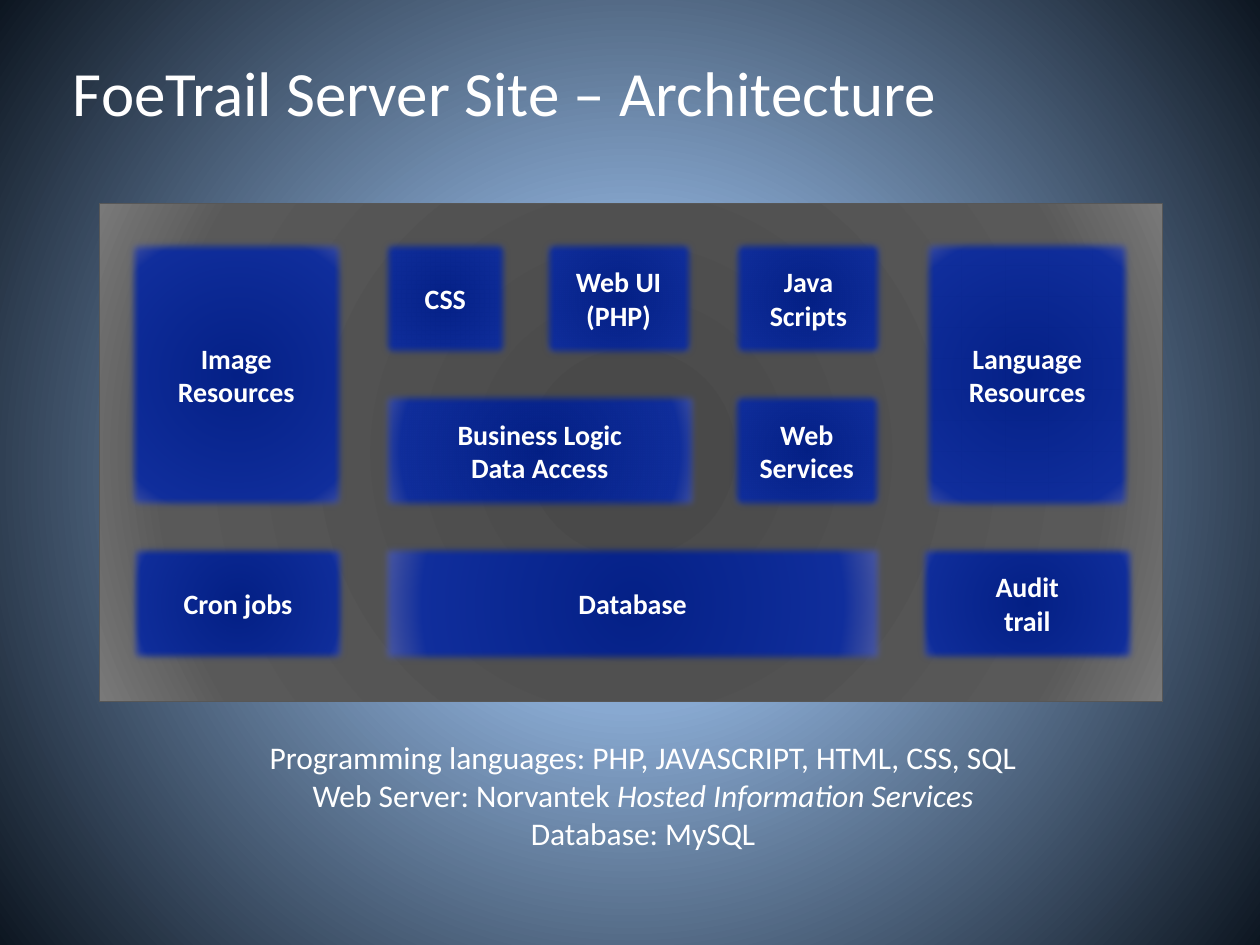
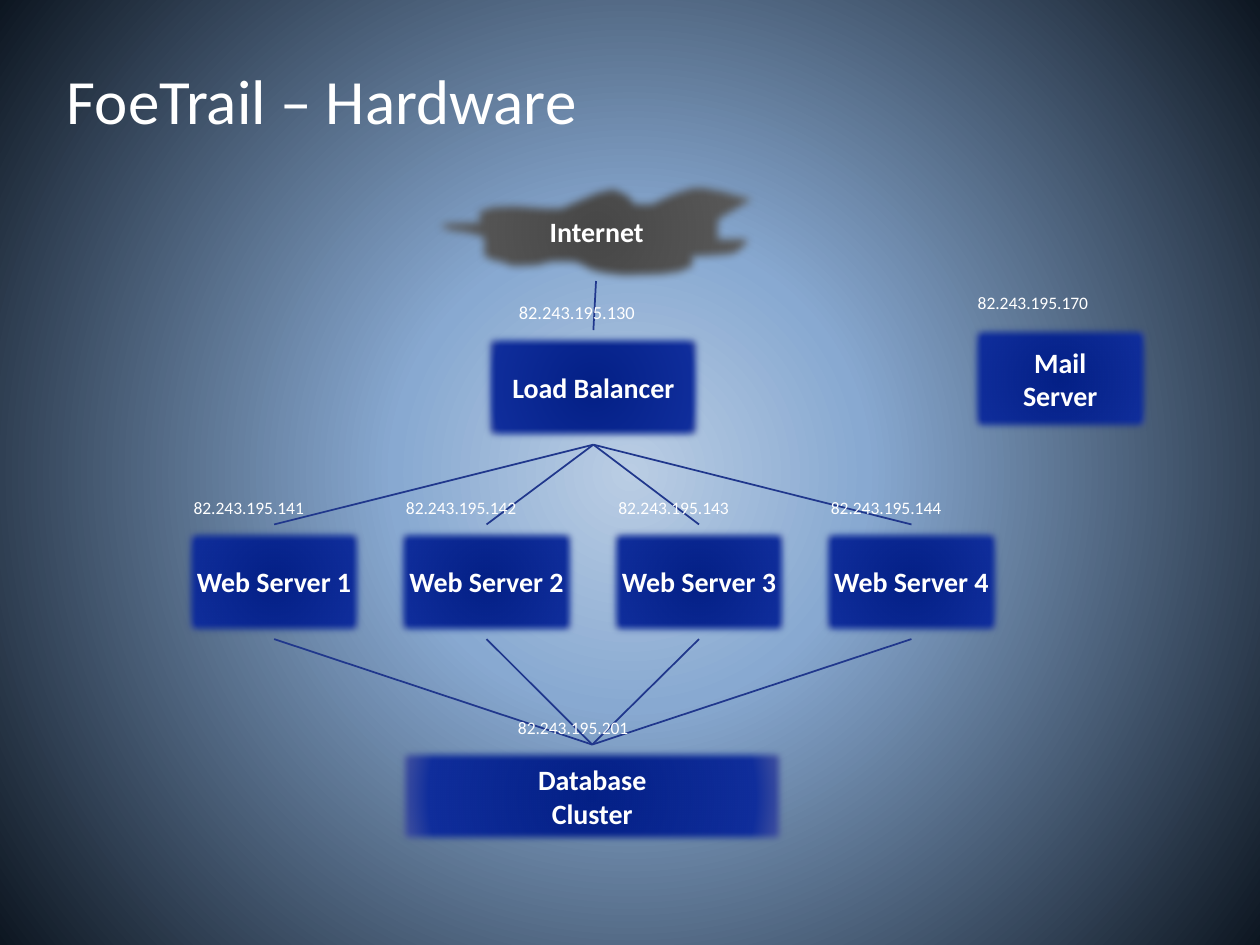
from dataclasses import dataclass

from lxml import etree
from pptx import Presentation
from pptx.dml.color import RGBColor as RGB
from pptx.enum.shapes import MSO_CONNECTOR as CONN, MSO_SHAPE as SHAPE
from pptx.enum.text import MSO_ANCHOR as ANCHOR, MSO_AUTO_SIZE as AUTO, PP_ALIGN as ALIGN
from pptx.oxml import parse_xml
from pptx.oxml.ns import nsdecls, qn
from pptx.util import Pt


@dataclass(frozen=True)
class Theme:
    font: str = "Calibri"
    title_size: float = 36
    note_size: float = 18
    box_size: float = 16
    address_size: float = 10
    text: str = "FFFFFF"
    wire: str = "20378C"
    panel_line: str = "575757"
    soft_edge: float = 5
    # Radial gradients: (position in percent, colour), from the centre outwards
    background: tuple = ((0, "BACDE4"), (30, "88A9D1"), (100, "0D1621"))
    blue: tuple = ((0, "042086"), (80, "102E9C"), (100, "5C64A1"))
    grey: tuple = ((0, "474747"), (80, "595959"), (100, "797979"))


def radial_fill(fill, parent, stops):
    """Give the parent element of a fill a circular gradient."""
    fill.solid()
    gs = "".join(f'<a:gs pos="{pos * 1000}"><a:srgbClr val="{colour}"/></a:gs>'
                 for pos, colour in stops)
    grad = parse_xml(
        f'<a:gradFill {nsdecls("a")} rotWithShape="1"><a:gsLst>{gs}</a:gsLst>'
        '<a:path path="circle"><a:fillToRect l="50000" t="50000" r="50000" b="50000"/>'
        '</a:path></a:gradFill>')
    parent.replace(parent.find(qn("a:solidFill")), grad)


class Deck:
    def __init__(self, theme):
        self.theme = theme
        self.prs = Presentation()
        self.prs.slide_width, self.prs.slide_height = Pt(720), Pt(540)
        master = self.prs.slide_master
        fill = master.background.fill
        fill.solid()
        radial_fill(fill, master._element.find(".//" + qn("p:bgPr")), theme.background)
        self.slide = None

    def set_lines(self, tf, lines, size, bold=False, align=ALIGN.CENTER):
        """Fill a text frame; each line is a string or a list of (text, italic)."""
        for i, line in enumerate(lines):
            p = tf.paragraphs[0] if i == 0 else tf.add_paragraph()
            p.alignment = align
            p.font.name, p.font.size, p.font.bold = self.theme.font, Pt(size), bold
            p.font.color.rgb = RGB.from_string(self.theme.text)
            for text, italic in [(line, False)] if isinstance(line, str) else line:
                r = p.add_run()
                r.text = text
                if italic:
                    r.font.italic = True

    def margins(self, tf, side):
        tf.margin_left = tf.margin_right = Pt(side)
        tf.margin_top = tf.margin_bottom = 0

    def new_slide(self, title, x, y, w, h):
        self.slide = self.prs.slides.add_slide(self.prs.slide_layouts[5])
        sp = self.slide.shapes.title
        sp.left, sp.top, sp.width, sp.height = Pt(x), Pt(y), Pt(w), Pt(h)
        tf = sp.text_frame
        tf.auto_size, tf.vertical_anchor = AUTO.NONE, ANCHOR.MIDDLE
        self.set_lines(tf, [title], self.theme.title_size, align=ALIGN.LEFT)

    def rect(self, x, y, w, h):
        return self.slide.shapes.add_shape(SHAPE.RECTANGLE, Pt(x), Pt(y), Pt(w), Pt(h))

    def panel(self, x, y, w, h):
        sp = self.rect(x, y, w, h)
        radial_fill(sp.fill, sp._element.spPr, self.theme.grey)
        sp.line.color.rgb = RGB.from_string(self.theme.panel_line)
        sp.line.width = Pt(0.5)
        sp.shadow.inherit = False

    def soften(self, sp, stops, lines):
        """Style a shape as a soft-edged, labelled block."""
        spPr = sp._element.spPr
        radial_fill(sp.fill, spPr, stops)
        sp.line.fill.background()
        sp.shadow.inherit = False
        etree.SubElement(spPr.find(qn("a:effectLst")), qn("a:softEdge"),
                         rad=str(Pt(self.theme.soft_edge)))
        tf = sp.text_frame
        tf.word_wrap, tf.vertical_anchor = True, ANCHOR.MIDDLE
        self.margins(tf, 5)
        self.set_lines(tf, lines, self.theme.box_size, bold=True)

    def box(self, x, y, w, h, *lines):
        sp = self.rect(x, y, w, h)
        self.soften(sp, self.theme.blue, lines)
        return sp

    def cloud(self, x, y, outline, unit, *lines):
        builder = self.slide.shapes.build_freeform(*outline[0], scale=Pt(unit))
        builder.add_line_segments(outline[1:], close=True)
        self.soften(builder.convert_to_shape(Pt(x), Pt(y)), self.theme.grey, lines)

    def label(self, x, y, w, h, lines, size, align=ALIGN.LEFT, wrap=True):
        tf = self.slide.shapes.add_textbox(Pt(x), Pt(y), Pt(w), Pt(h)).text_frame
        tf.word_wrap = wrap
        self.margins(tf, 0)
        self.set_lines(tf, lines, size, align=align)

    def address(self, x, y, host, size=None):
        self.label(x, y, 86.5, 12.5, [f"82.243.195.{host}"], size or self.theme.address_size)

    def wire(self, lower, upper=None, start=(0, 0)):
        """Join the bottom of the upper shape, or a point, to the top of the lower."""
        x, y = Pt(start[0]), Pt(start[1])
        cx = self.slide.shapes.add_connector(CONN.STRAIGHT, x, y, x, y)
        if upper is not None:
            cx.begin_connect(upper, 2)
        cx.end_connect(lower, 0)
        cx.line.color.rgb = RGB.from_string(self.theme.wire)
        cx.line.width = Pt(1)
        etree.SubElement(cx._element.spPr, qn("a:effectLst"))


# Cloud outline in hundredths of an inch
CLOUD = [
    (103, 17), (74, 15), (49, 16), (39, 19), (32, 20), (30, 22), (34, 27), (40, 28),
    (11, 29), (4, 32), (1, 35), (4, 42), (10, 46), (18, 48), (27, 49), (39, 52),
    (42, 54), (39, 59), (40, 66), (42, 68), (49, 71), (58, 73), (61, 75), (70, 76),
    (97, 75), (109, 72), (116, 73), (118, 74), (128, 79), (137, 81), (154, 83),
    (195, 82), (210, 80), (217, 77), (220, 76), (221, 73), (220, 68), (224, 68),
    (242, 67), (252, 66), (256, 64), (262, 59), (265, 55), (264, 43), (262, 41),
    (240, 41), (242, 38), (249, 34), (256, 30), (261, 27), (265, 25), (270, 21),
    (274, 20), (272, 12), (267, 10), (261, 8), (255, 7), (245, 4), (234, 2), (230, 1),
    (207, 1), (194, 5), (189, 7), (178, 12), (175, 14), (172, 11), (169, 7), (160, 3),
    (154, 0), (148, 1), (131, 5), (124, 8), (112, 13),
]


def architecture(deck):
    deck.new_slide("FoeTrail Server Site – Architecture", 34.5, 21, 652, 62)
    deck.panel(57, 116.5, 607.5, 284.5)

    # Components: left, width, first row, rows spanned, lines
    top, step, height = 134.5, 87.2, 72
    components = [
        (307.5, 92, 0, 1, "Web UI", "(PHP)"),
        (215.5, 186, 1, 1, "Business Logic", "Data Access"),
        (216, 291, 2, 1, "Database"),
        (525, 124, 0, 2, "Language", "Resources"),
        (70.5, 129, 0, 2, "Image", "Resources"),
        (416, 92, 0, 1, "Java", "Scripts"),
        (215.5, 78, 0, 1, "CSS"),
        (71.5, 129, 2, 1, "Cron jobs"),
        (522.5, 129, 2, 1, "Audit", "trail"),
        (415, 92, 1, 1, "Web", "Services"),
    ]
    for x, w, row, rows, *lines in components:
        deck.box(x, top + step * row, w, height + step * (rows - 1), *lines)

    # Technology summary
    deck.label(137, 422, 461, 65.5, [
        "Programming languages: PHP, JAVASCRIPT, HTML, CSS, SQL",
        [("Web Server: Norvantek ", False), ("Hosted Information Services", True)],
        "Database: MySQL",
    ], deck.theme.note_size, ALIGN.CENTER, wrap=False)


def hardware(deck):
    deck.new_slide("FoeTrail – Hardware", 31, 26, 477.5, 61)

    # Machines
    w, h = 107.3, 65.5
    balancer = deck.box(274.3, 188.6, 129.6, h, "Load Balancer")
    deck.cloud(242, 102.2, CLOUD, 0.72, "Internet")
    lefts = [103 + 121.4 * i for i in range(4)]
    servers = [deck.box(x, 299.7, w, h, f"Web Server {i}") for i, x in enumerate(lefts, 1)]
    cluster = deck.box(225.4, 425.5, 226, 59, "Database", "Cluster")
    deck.box(552.2, 183.6, w, h, "Mail", "Server")

    # Network
    deck.wire(balancer, start=(340.6, 160.6))
    for server in servers:
        deck.wire(server, balancer)
        deck.wire(cluster, server)

    # Addresses
    deck.address(296.6, 172, 130, 10.5)
    for i, x in enumerate(lefts):
        deck.address(x + 7.6, 284, 141 + i)
    deck.address(296, 409.7, 201)
    deck.address(558.7, 167, 170)


def main():
    deck = Deck(Theme())
    architecture(deck)
    hardware(deck)
    deck.prs.save("out.pptx")


if __name__ == "__main__":
    main()
